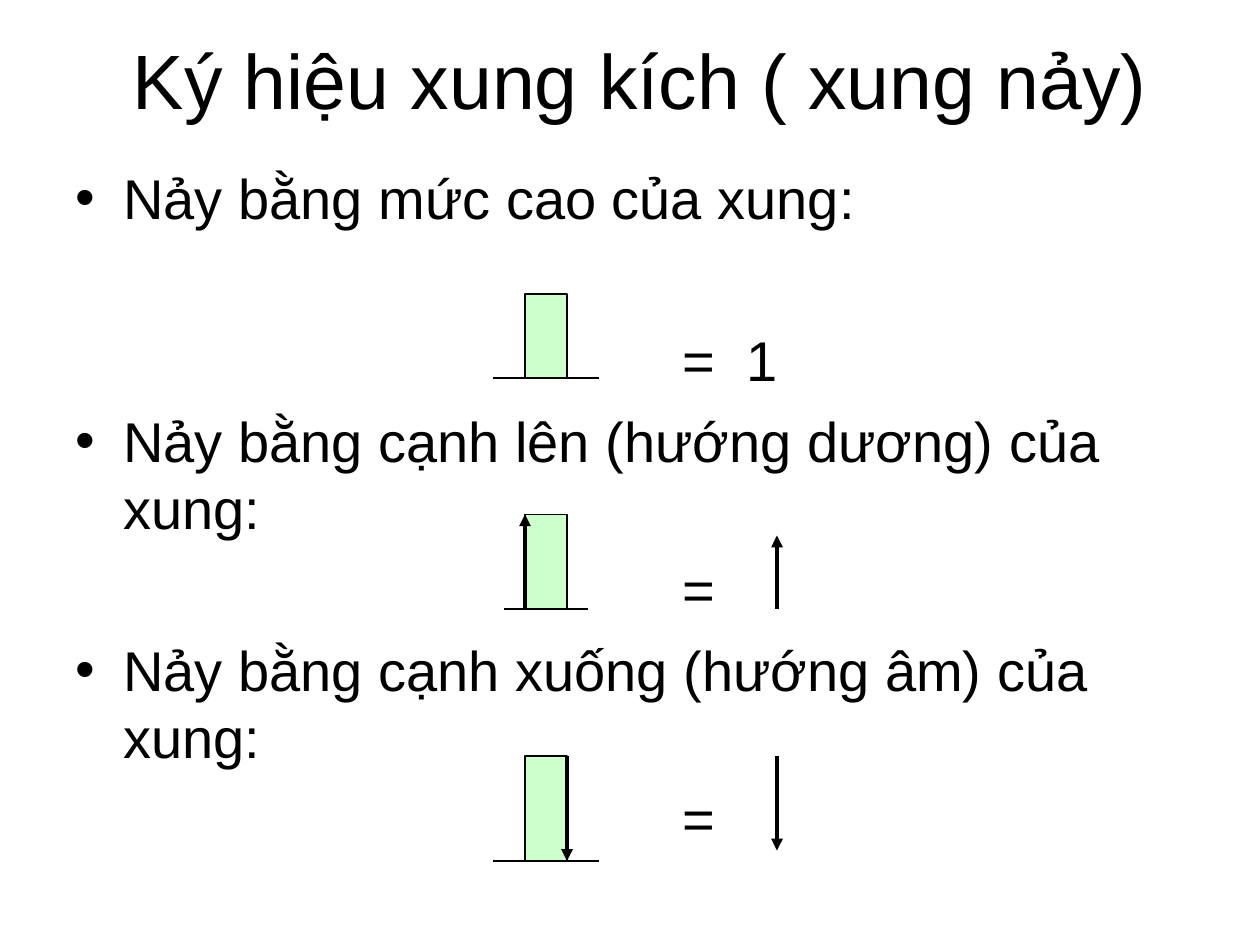
import pptx
import pptx.util
import pptx.dml.color
import pptx.enum.shapes
import pptx.enum.text
import pptx.oxml.ns
from lxml import etree
from dataclasses import dataclass

SHAPES = pptx.enum.shapes.MSO_SHAPE
ALIGN = pptx.enum.text.PP_ALIGN
ANCHOR = pptx.enum.text.MSO_ANCHOR
qn = pptx.oxml.ns.qn

# Grid of 120 columns by 90 rows: one cell is 1/12 inch
WIDTH, HEIGHT = 10, 7.5
COLS, ROWS = 120, 90
PULSE_LEFT, PULSE_RIGHT, SYMBOL = 50, 54, 74
BLACK, WHITE, GREEN = "000000", "FFFFFF", "CCFFCC"


@dataclass
class Line:
    text: str
    bullet: bool = False
    before: float = 8


@dataclass
class Arrow:
    col: float
    start: float
    end: float


@dataclass
class Pulse:
    kind: int
    top: float
    base: float
    overhang: float
    arrows: tuple = ()


LINES = [
    Line("Nảy bằng mức cao của xung:", True, 0),
    Line("=  1", before=54.3),
    Line("Nảy bằng cạnh lên (hướng dương) của xung:", True),
    Line("="),
    Line("Nảy bằng cạnh xuống (hướng âm) của xung:", True),
    Line("="),
]
PULSES = [
    Pulse(SHAPES.FLOWCHART_PROCESS, 28, 36, 3),
    Pulse(SHAPES.RECTANGLE, 49, 58, 2,
          (Arrow(PULSE_LEFT, 58, 49), Arrow(SYMBOL, 58, 51))),
    Pulse(SHAPES.RECTANGLE, 72, 82, 3,
          (Arrow(PULSE_RIGHT, 72, 82), Arrow(SYMBOL, 72, 81))),
]


def x(col: float) -> int:
    return pptx.util.Inches(WIDTH * col / COLS)


def y(row: float) -> int:
    return pptx.util.Inches(HEIGHT * row / ROWS)


def color(value: str):
    return pptx.dml.color.RGBColor.from_string(value)


def apply(target, formats: dict) -> None:
    for name, value in formats.items():
        setattr(target, name, value)


def add_text_frame(s, left: float, top: float, width: float, height: float, anchor):
    sp = s.shapes.add_textbox(x(left), y(top), x(width), y(height))
    apply(sp.text_frame, {"word_wrap": True, "vertical_anchor": anchor})
    return sp


def add_run(p, text: str, size: float) -> None:
    r = p.add_run()
    r.text = text
    apply(r.font, {"name": "Arial", "size": pptx.util.Pt(size)})
    r.font.color.rgb = color(BLACK)


def set_indent(p, left: float, first: float) -> None:
    pPr = p._p.get_or_add_pPr()
    pPr.set("marL", str(pptx.util.Inches(left)))
    pPr.set("indent", str(pptx.util.Inches(first)))


def add_bullet(p) -> None:
    pPr = p._p.get_or_add_pPr()
    clr = etree.SubElement(pPr, qn("a:buClr"))
    etree.SubElement(clr, qn("a:srgbClr"), val=BLACK)
    etree.SubElement(pPr, qn("a:buFont"), typeface="Arial")
    etree.SubElement(pPr, qn("a:buChar"), char="•")


def add_body(s, lines: list) -> None:
    sp = add_text_frame(s, 6, 15, 108, 72, ANCHOR.TOP)
    sp.fill.solid()
    sp.fill.fore_color.rgb = color(WHITE)
    tf = sp.text_frame
    for i, line in enumerate(lines):
        p = tf.add_paragraph() if i else tf.paragraphs[0]
        if line.bullet:
            set_indent(p, 0.38, -0.38)
            add_bullet(p)
        else:
            set_indent(p, 4.82, 0)
        apply(p, {"line_spacing": pptx.util.Pt(38.3),
                  "space_before": pptx.util.Pt(line.before)})
        add_run(p, line.text, 32)


def add_line(s, start: tuple, end: tuple, width: float, arrow: bool = False) -> None:
    cx = s.shapes.add_connector(pptx.enum.shapes.MSO_CONNECTOR.STRAIGHT,
                                x(start[0]), y(start[1]), x(end[0]), y(end[1]))
    cx.line.color.rgb = color(BLACK)
    cx.line.width = pptx.util.Pt(width)
    if arrow:
        etree.SubElement(cx.line._get_or_add_ln(), qn("a:tailEnd"), type="triangle")
    etree.SubElement(cx._element.spPr, qn("a:effectLst"))


def add_pulse(s, pulse: Pulse) -> None:
    sp = s.shapes.add_shape(pulse.kind, x(PULSE_LEFT), y(pulse.top),
                            x(PULSE_RIGHT - PULSE_LEFT), y(pulse.base - pulse.top))
    sp.shadow.inherit = False
    sp.fill.solid()
    sp.fill.fore_color.rgb = color(GREEN)
    sp.line.color.rgb = color(BLACK)
    sp.line.width = pptx.util.Pt(0.75)
    add_line(s, (PULSE_LEFT - pulse.overhang, pulse.base),
             (PULSE_RIGHT + pulse.overhang, pulse.base), 0.75)
    for a in pulse.arrows:
        add_line(s, (a.col, a.start), (a.col, a.end), 2.25, True)


def main() -> None:
    prs = pptx.Presentation()
    apply(prs, {"slide_width": x(COLS), "slide_height": y(ROWS)})
    s = prs.slides.add_slide(prs.slide_layouts[6])

    # Title
    p = add_text_frame(s, 7, 0, 108, 15, ANCHOR.MIDDLE).text_frame.paragraphs[0]
    p.alignment = ALIGN.CENTER
    add_run(p, "Ký hiệu xung kích ( xung nảy)", 44)

    # Trigger types and their pulse symbols
    add_body(s, LINES)
    for pulse in PULSES:
        add_pulse(s, pulse)

    prs.save("out.pptx")


if __name__ == "__main__":
    main()
